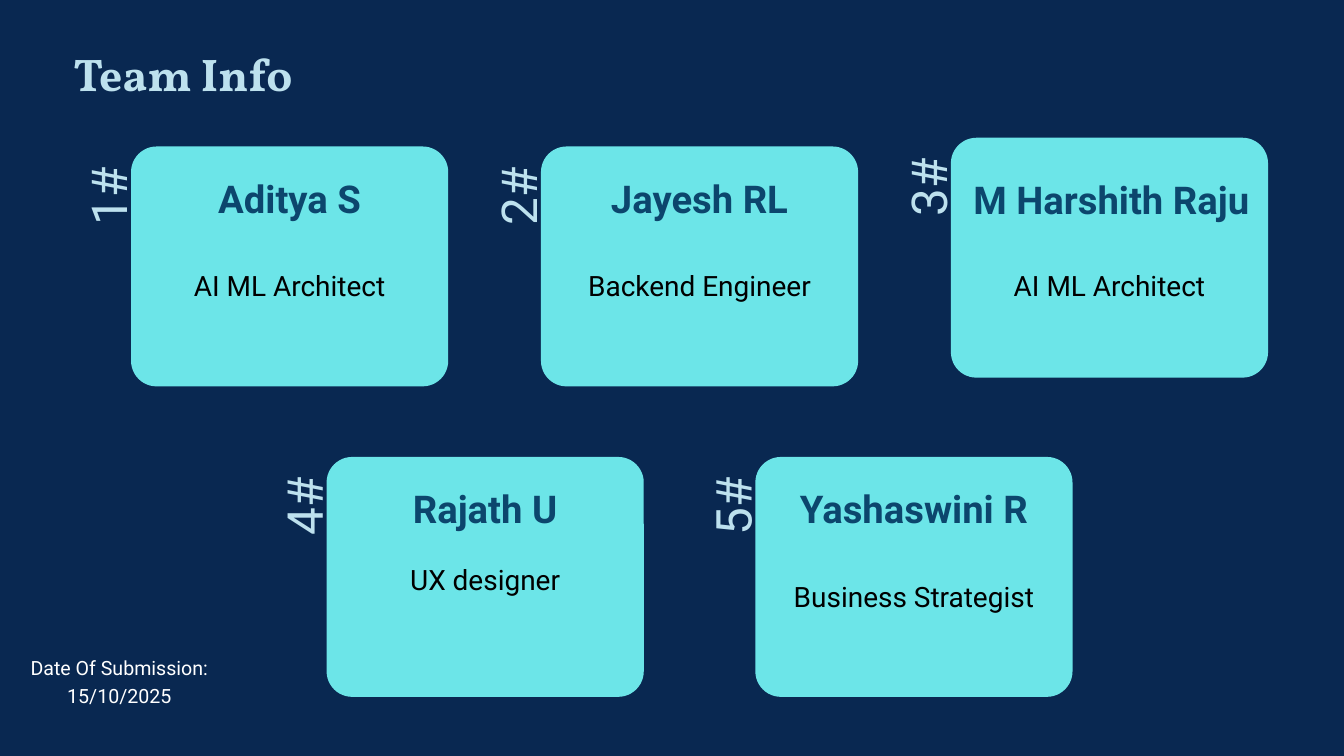
"""Build the team info slide with five numbered member cards."""
from pptx import Presentation
from pptx.dml.color import RGBColor
from pptx.enum.shapes import MSO_SHAPE
from pptx.enum.text import MSO_ANCHOR, PP_ALIGN
from pptx.util import Inches, Pt

ROUNDED = MSO_SHAPE.ROUNDED_RECTANGLE
TOP = MSO_ANCHOR.TOP
LEFT, CENTER = PP_ALIGN.LEFT, PP_ALIGN.CENTER

CARD_WIDTH, CARD_HEIGHT, CORNER_RADIUS = 4.72, 3.57, 0.38
NUMBER_WIDTH, NUMBER_HEIGHT = 1.47, 0.99

MEMBERS = [
    ("1#", "Aditya S", "AI ML Architect", 1.95, 2.18, 2.49, 3.91, 0),
    ("2#", "Jayesh RL", "Backend Engineer", 8.05, 2.18, 2.49, 3.91, 0),
    ("3#", "M Harshith Raju", "AI ML Architect", 14.15, 2.05, 2.51, 3.91, 0.03),
    ("4#", "Rajath U", "UX designer", 4.86, 6.8, 7.11, 8.29, 0),
    ("5#", "Yashaswini R", "Business Strategist", 11.24, 6.8, 7.11, 8.54, 0),
]


def color(value):
    return RGBColor.from_string(value)


class TeamSlide:
    background = "092851"
    card_fill = "6CE5E8"
    pale = "BDE1EE"
    name_color = "0C466D"
    role_color = "000000"
    date_color = "FFFFFF"
    title_font = "Vollkorn"
    body_font = "Roboto"
    line_ratio = 1.4

    def __init__(self, presentation):
        self.slide = presentation.slides.add_slide(presentation.slide_layouts[5])
        fill = self.slide.background.fill
        fill.solid()
        fill.fore_color.rgb = color(self.background)

    def set_text(self, shape, text, size, text_color, font, bold, alignment):
        frame = shape.text_frame
        frame.word_wrap = True
        frame.vertical_anchor = TOP
        frame.margin_left = frame.margin_right = 0
        frame.margin_top = frame.margin_bottom = 0
        paragraph = frame.paragraphs[0]
        paragraph.alignment = alignment
        paragraph.line_spacing = Pt(size * self.line_ratio)
        paragraph.space_before = Pt(0)
        run = paragraph.add_run()
        run.text = text
        run.font.name = font
        run.font.size = Pt(size)
        run.font.bold = bold
        run.font.color.rgb = color(text_color)

    def title(self, text, left, top, width, height):
        shape = self.slide.shapes.title
        shape.left, shape.top = Inches(left), Inches(top)
        shape.width, shape.height = Inches(width), Inches(height)
        self.set_text(shape, text, 49, self.pale, self.title_font, True, LEFT)

    def label(self, text, left, top, width, height, size, text_color, bold=False):
        shape = self.slide.shapes.add_textbox(
            Inches(left), Inches(top), Inches(width), Inches(height))
        self.set_text(shape, text, size, text_color, self.body_font, bold, CENTER)
        return shape

    def card(self, left, top):
        shape = self.slide.shapes.add_shape(
            ROUNDED, Inches(left), Inches(top), Inches(CARD_WIDTH), Inches(CARD_HEIGHT))
        shape.adjustments[0] = CORNER_RADIUS / CARD_HEIGHT
        shape.shadow.inherit = False
        shape.fill.solid()
        shape.fill.fore_color.rgb = color(self.card_fill)
        shape.line.fill.background()

    def member(self, number, name, role, left, top, name_top, role_top, name_shift):
        self.card(left, top)
        tag = self.label(number, left - 1.18, top + 0.24,
                         NUMBER_WIDTH, NUMBER_HEIGHT, 53, self.pale)
        tag.rotation = 270
        self.label(name, left + name_shift, name_top, CARD_WIDTH, 0.8,
                   41, self.name_color, True)
        self.label(role, left, role_top, CARD_WIDTH, 0.59, 30, self.role_color)


def main():
    presentation = Presentation()
    presentation.slide_width = Inches(20)
    presentation.slide_height = Inches(11.25)
    team = TeamSlide(presentation)
    team.title("Team Info", 1.09, 0.55, 4.33, 0.97)
    for member in MEMBERS:
        team.member(*member)
    team.label("Date Of Submission: 15/10/2025", 0, 9.71, 3.55, 0.8, 21, team.date_color)
    presentation.save("out.pptx")


if __name__ == "__main__":
    main()
